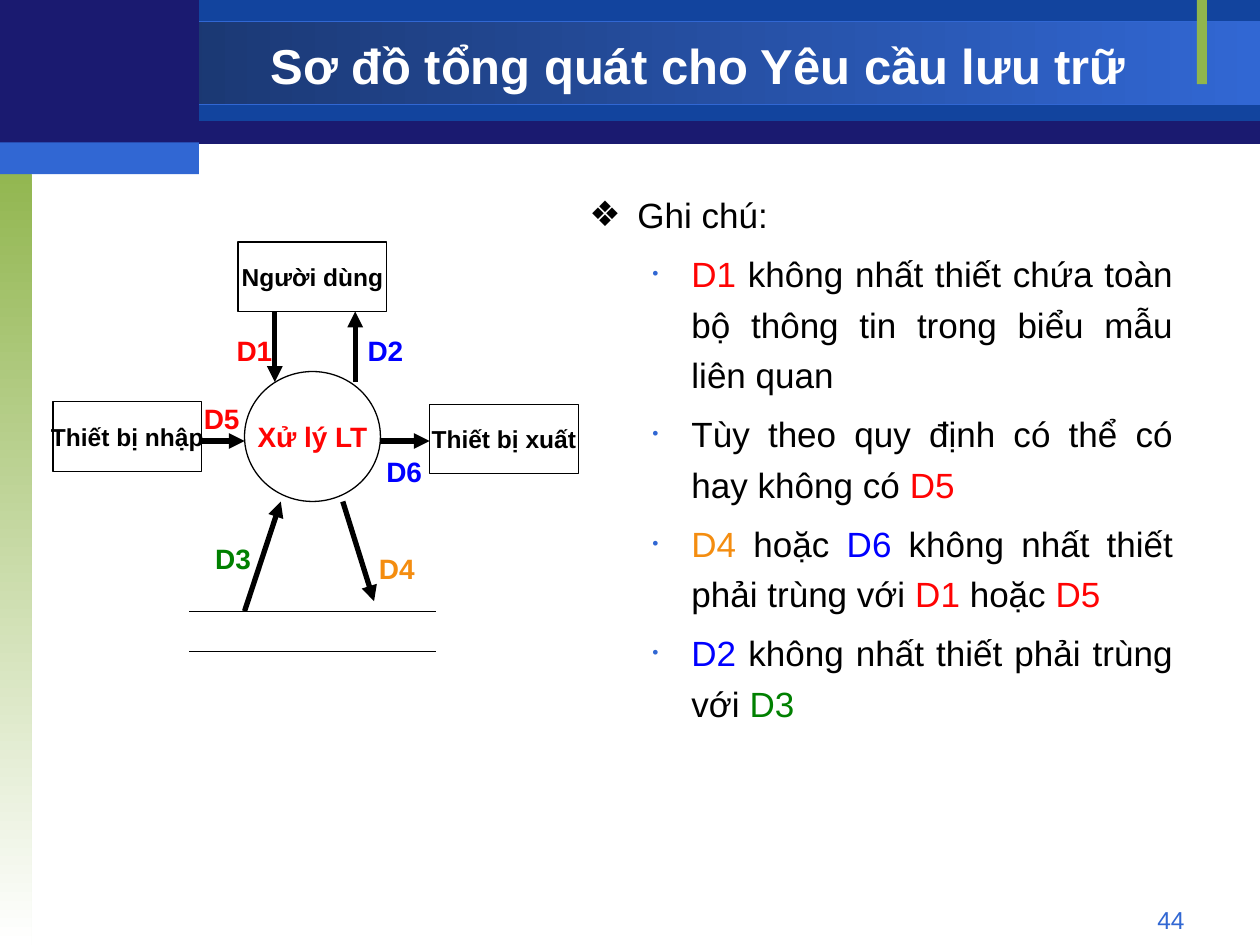
from dataclasses import dataclass
from typing import Optional

from lxml.etree import SubElement
from pptx import Presentation
from pptx.dml.color import RGBColor
from pptx.enum.shapes import MSO_CONNECTOR, MSO_SHAPE
from pptx.enum.text import MSO_ANCHOR, PP_ALIGN
from pptx.oxml.ns import qn
from pptx.util import Cm, Pt

FONT = "Arial"
COLOURS = {
    "navy": "1A1A70", "royal": "12449E", "deep": "173062", "blue": "3167D3",
    "leaf": "90B54D", "white": "FFFFFF", "black": "000000",
    "red": "FF0303", "flow blue": "0000FF", "green": "008000", "orange": "F48D10",
}
FLOW_COLOURS = {"D1": "red", "D2": "flow blue", "D3": "green",
                "D4": "orange", "D5": "red", "D6": "flow blue"}


@dataclass
class Panel:
    left: float
    top: float
    width: float
    height: float
    colour: str
    end_colour: Optional[str] = None
    angle: int = 0
    line: Optional[str] = None


@dataclass
class Node:
    text: str
    left: float
    top: float
    width: float = 3.0
    height: float = 1.4
    kind: MSO_SHAPE = MSO_SHAPE.RECTANGLE
    size: int = 14
    colour: str = "black"


@dataclass
class Line:
    start: tuple[float, float]
    end: tuple[float, float]
    arrow: bool = True


@dataclass
class Label:
    text: str
    left: float
    top: float


PANELS = [
    Panel(0, 0.03, 25.4, 2.87, "navy"),
    Panel(4.01, 0, 21.39, 2.44, "royal"),
    Panel(0, 0.43, 25.4, 1.68, "deep", "blue", line="blue"),
    Panel(0, 3.18, 0.64, 15.87, "leaf", "white", angle=270),
    Panel(24.13, 0, 0.2, 1.7, "leaf"),
    Panel(0, 0, 4.01, 2.97, "navy"),
    Panel(0, 2.87, 4.01, 0.64, "blue"),
]
NODES = [
    Node("Người dùng", 4.8, 4.88),
    Node("Thiết bị nhập", 1.07, 8.1),
    Node("Thiết bị xuất", 8.66, 8.15),
    Node("Xử lý LT", 4.93, 7.49, 2.74, 2.62, MSO_SHAPE.OVAL, 16, "red"),
]
LINES = [
    Line((3.81, 12.32), (8.79, 12.32), arrow=False),
    Line((3.81, 13.13), (8.79, 13.13), arrow=False),
    Line((5.54, 6.28), (5.54, 7.7)),
    Line((7.16, 7.7), (7.16, 6.28)),
    Line((4.93, 12.32), (5.66, 10.11)),
    Line((6.91, 10.11), (7.54, 12.12)),
    Line((4.04, 8.89), (4.93, 8.89)),
    Line((7.67, 8.89), (8.66, 8.89)),
]
LABELS = [
    Label("D1", 4.52, 6.6), Label("D2", 7.16, 6.6), Label("D3", 4.09, 10.8),
    Label("D4", 7.39, 11), Label("D5", 3.86, 7.98), Label("D6", 7.54, 9.04),
]
NOTES = [
    ["D1", " không nhất thiết chứa toàn bộ thông tin trong biểu mẫu liên quan"],
    ["Tùy theo quy định có thể có hay không có ", "D5"],
    ["D4", " hoặc ", "D6", " không nhất thiết phải trùng với ", "D1", " hoặc ", "D5"],
    ["D2", " không nhất thiết phải trùng với ", "D3"],
]


def rgb(name: str) -> RGBColor:
    return RGBColor.from_string(COLOURS[name])


def add_run(paragraph, text: str, size: int, colour: str, bold: bool = False) -> None:
    run = paragraph.add_run()
    run.text = text
    run.font.name = FONT
    run.font.size = Pt(size)
    run.font.bold = bold
    run.font.color.rgb = rgb(colour)


def add_text_box(slide, left: float, top: float, width: float, height: float, wrap: bool):
    box = slide.shapes.add_textbox(Cm(left), Cm(top), Cm(width), Cm(height))
    box.text_frame.word_wrap = wrap
    return box.text_frame


def add_panel(slide, panel: Panel) -> None:
    shape = slide.shapes.add_shape(MSO_SHAPE.RECTANGLE, Cm(panel.left), Cm(panel.top),
                                   Cm(panel.width), Cm(panel.height))
    shape.shadow.inherit = False
    if panel.end_colour:
        shape.fill.gradient()
        shape.fill.gradient_angle = panel.angle
        for stop, name in zip(shape.fill.gradient_stops, (panel.colour, panel.end_colour)):
            stop.color.rgb = rgb(name)
    else:
        shape.fill.solid()
        shape.fill.fore_color.rgb = rgb(panel.colour)
    if panel.line:
        shape.line.color.rgb = rgb(panel.line)
        shape.line.width = Pt(0.75)
    else:
        shape.line.fill.background()


def add_node(slide, node: Node) -> None:
    shape = slide.shapes.add_shape(node.kind, Cm(node.left), Cm(node.top),
                                   Cm(node.width), Cm(node.height))
    shape.shadow.inherit = False
    shape.fill.background()
    shape.line.color.rgb = rgb("black")
    shape.line.width = Pt(0.75)
    frame = shape.text_frame
    frame.word_wrap = False
    frame.vertical_anchor = MSO_ANCHOR.MIDDLE
    frame.paragraphs[0].alignment = PP_ALIGN.CENTER
    add_run(frame.paragraphs[0], node.text, node.size, node.colour, bold=True)


def add_line(slide, line: Line) -> None:
    points = [Cm(value) for value in (*line.start, *line.end)]
    connector = slide.shapes.add_connector(MSO_CONNECTOR.STRAIGHT, *points)
    connector.line.color.rgb = rgb("black")
    connector.line.width = Pt(3 if line.arrow else 0.75)
    if line.arrow:
        SubElement(connector.line._get_or_add_ln(), qn("a:tailEnd"), type="triangle")
    SubElement(connector.element.spPr, qn("a:effectLst"))


def add_label(slide, label: Label) -> None:
    frame = add_text_box(slide, label.left, label.top, 1.22, 0.94, wrap=False)
    add_run(frame.paragraphs[0], label.text, 16, FLOW_COLOURS[label.text], bold=True)


def format_bullet(paragraph, mark: str, colour: str, percent: int,
                  indent: float, hanging: float) -> None:
    paragraph.alignment = PP_ALIGN.JUSTIFY
    paragraph.line_spacing = 1.2
    paragraph.space_before = Pt(5)
    properties = paragraph._p.get_or_add_pPr()
    properties.set("marL", str(Cm(indent)))
    properties.set("indent", str(-Cm(hanging)))
    bullet_colour = SubElement(properties, qn("a:buClr"))
    SubElement(bullet_colour, qn("a:srgbClr"), val=COLOURS[colour])
    SubElement(properties, qn("a:buSzPct"), val=str(percent * 1000))
    SubElement(properties, qn("a:buFont"), typeface=FONT)
    SubElement(properties, qn("a:buChar"), char=mark)


def add_notes_text(slide) -> None:
    frame = add_text_box(slide, 11.63, 3.61, 12.27, 13.97, wrap=True)
    heading = frame.paragraphs[0]
    format_bullet(heading, "❖", "black", 100, 0.97, 0.97)
    add_run(heading, "Ghi chú:", 20, "black")
    for note in NOTES:
        paragraph = frame.add_paragraph()
        paragraph.level = 1
        format_bullet(paragraph, "•", "blue", 50, 2.06, 0.79)
        for text in note:
            add_run(paragraph, text, 20, FLOW_COLOURS.get(text, "black"))


def set_title(slide, text: str) -> None:
    """Place the title in the band, in front of the panels."""
    title = slide.shapes.title
    title.left, title.top, title.width, title.height = Cm(4.01), Cm(0.58), Cm(20.12), Cm(1.47)
    slide.shapes.element.append(title.element)
    title.text_frame.vertical_anchor = MSO_ANCHOR.MIDDLE
    paragraph = title.text_frame.paragraphs[0]
    paragraph.alignment = PP_ALIGN.CENTER
    add_run(paragraph, text, 28, "white", bold=True)


def main() -> None:
    presentation = Presentation()
    presentation.slide_width, presentation.slide_height = Cm(25.4), Cm(19.05)
    slide = presentation.slides.add_slide(presentation.slide_layouts[5])
    for panel in PANELS:
        add_panel(slide, panel)
    number = add_text_box(slide, 18.21, 18.11, 5.92, 0.69, wrap=True).paragraphs[0]
    number.alignment = PP_ALIGN.RIGHT
    add_run(number, "44", 14, "blue")
    set_title(slide, "Sơ đồ tổng quát cho Yêu cầu lưu trữ")
    add_notes_text(slide)
    for draw, items in ((add_node, NODES), (add_line, LINES), (add_label, LABELS)):
        for item in items:
            draw(slide, item)
    presentation.save("out.pptx")


if __name__ == "__main__":
    main()
